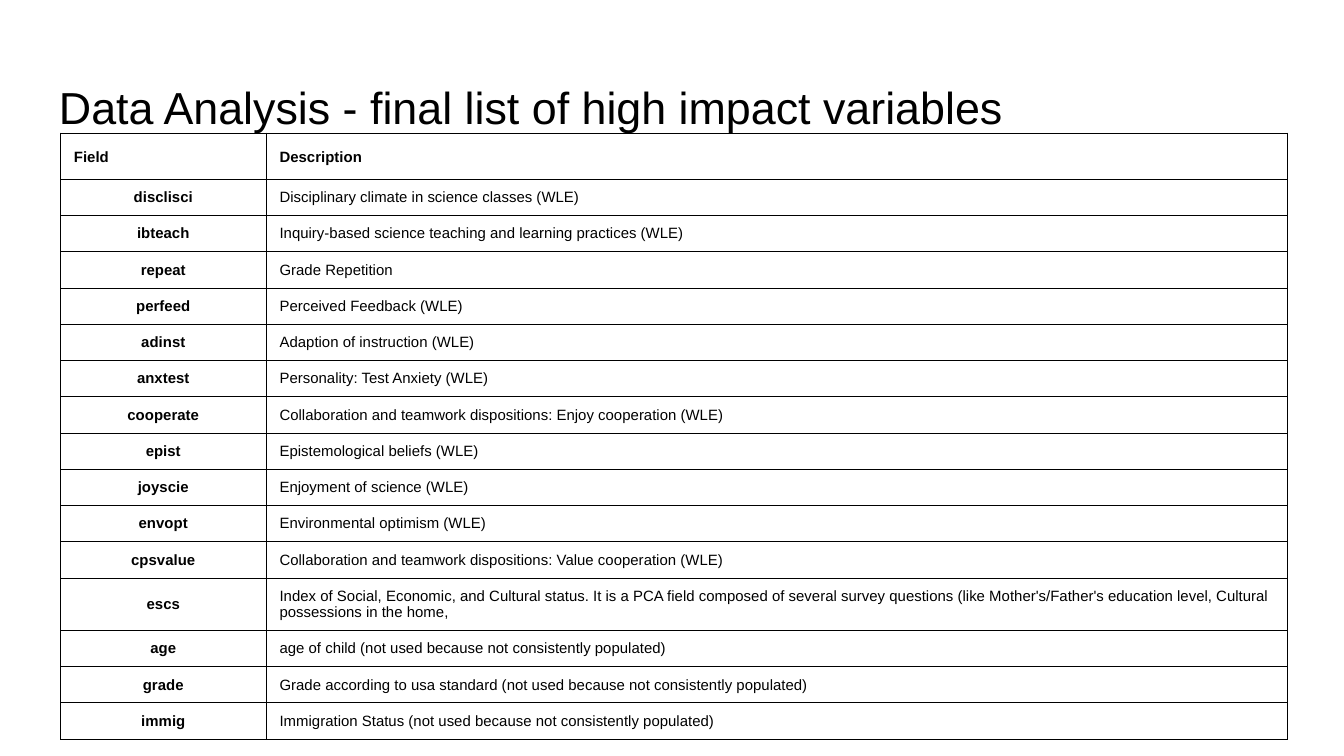
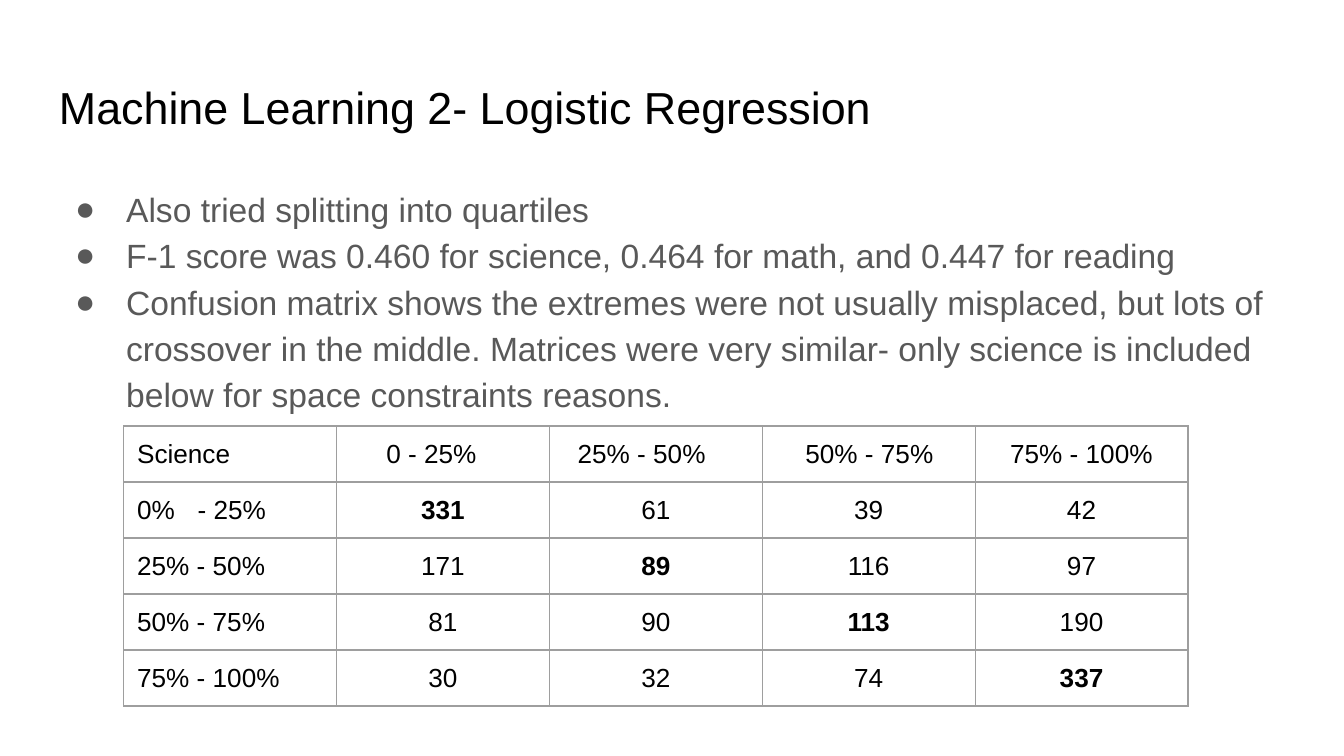
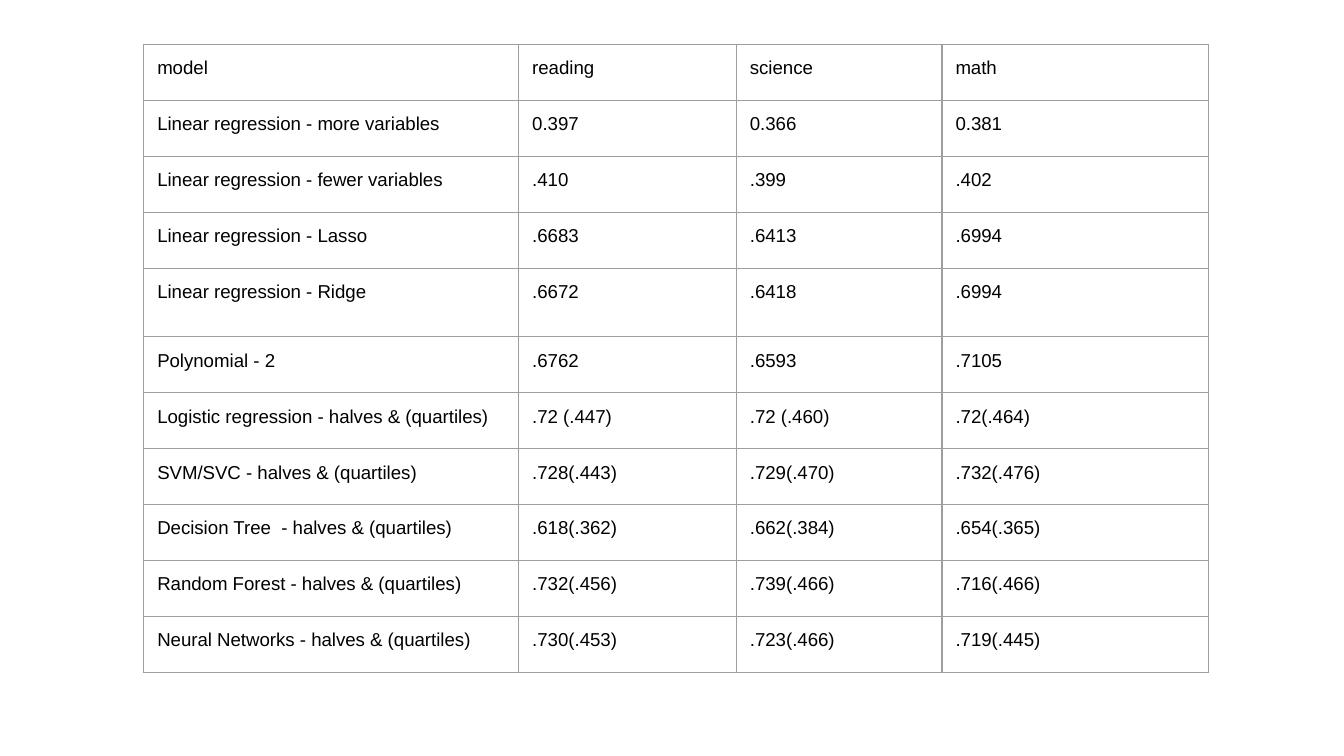
from lxml import etree
from pptx import Presentation
from pptx.dml.color import RGBColor
from pptx.enum.text import MSO_ANCHOR, PP_ALIGN
from pptx.oxml.ns import qn
from pptx.util import Inches, Pt

LEFT, CENTER = PP_ALIGN.LEFT, PP_ALIGN.CENTER
TOP, MIDDLE = MSO_ANCHOR.TOP, MSO_ANCHOR.MIDDLE

FONT = "Arial"
COLORS = {"text": "000000", "body": "595959", "grid": "9E9E9E", "paper": "FFFFFF"}
BLANK_LAYOUT = 6
SLIDE_WIDTH = 10
SLIDE_HEIGHT = SLIDE_WIDTH * 9 / 16
PADDING = 0.1
ROW_HEIGHT = 5 / 12

VARIABLES = [
    ("Field", "Description"),
    ("disclisci", "Disciplinary climate in science classes (WLE)"),
    ("ibteach", "Inquiry-based science teaching and learning practices (WLE)"),
    ("repeat", "Grade Repetition"),
    ("perfeed", "Perceived Feedback (WLE)"),
    ("adinst", "Adaption of instruction (WLE)"),
    ("anxtest", "Personality: Test Anxiety (WLE)"),
    ("cooperate", "Collaboration and teamwork dispositions: Enjoy cooperation (WLE)"),
    ("epist", "Epistemological beliefs (WLE)"),
    ("joyscie", "Enjoyment of science (WLE)"),
    ("envopt", "Environmental optimism (WLE)"),
    ("cpsvalue", "Collaboration and teamwork dispositions: Value cooperation (WLE)"),
    ("escs", "Index of Social, Economic, and Cultural status. It is a PCA field composed "
             "of several survey questions (like Mother's/Father's education level, "
             "Cultural possessions in the home,"),
    ("age", "age of child (not used because not consistently populated)"),
    ("grade", "Grade according to usa standard (not used because not consistently populated)"),
    ("immig", "Immigration Status (not used because not consistently populated)"),
]

FINDINGS = [
    "Also tried splitting into quartiles",
    "F-1 score was 0.460 for science, 0.464 for math, and 0.447 for reading",
    "Confusion matrix shows the extremes were not usually misplaced, but lots of "
    "crossover in the middle. Matrices were very similar- only science is included "
    "below for space constraints reasons.",
]

CONFUSION = [
    ("Science", "0 - 25%", "25% - 50%", "50% - 75%", "75% - 100%"),
    ("0%\t- 25%", "331", "61", "39", "42"),
    ("25% - 50%", "171", "89", "116", "97"),
    ("50% - 75%", "81", "90", "113", "190"),
    ("75% - 100%", "30", "32", "74", "337"),
]
HEADER_INDENTS = [0, 0.27, 0.11, 0.22, 0.16]
DASH_TAB = 0.45

SCORES = [
    ("model", "reading", "science", "math"),
    ("Linear regression - more variables", "0.397", "0.366", "0.381"),
    ("Linear regression - fewer variables", ".410", ".399", ".402"),
    ("Linear regression - Lasso", ".6683", ".6413", ".6994"),
    ("Linear regression - Ridge", ".6672", ".6418", ".6994"),
    ("Polynomial - 2", ".6762", ".6593", ".7105"),
    ("Logistic regression - halves & (quartiles)", ".72 (.447)", ".72 (.460)", ".72(.464)"),
    ("SVM/SVC - halves & (quartiles)", ".728(.443)", ".729(.470)", ".732(.476)"),
    ("Decision Tree  - halves & (quartiles)", ".618(.362)", ".662(.384)", ".654(.365)"),
    ("Random Forest - halves & (quartiles)", ".732(.456)", ".739(.466)", ".716(.466)"),
    ("Neural Networks - halves & (quartiles)", ".730(.453)", ".723(.466)", ".719(.445)"),
]


def set_values(target, values):
    for name, value in values.items():
        setattr(target, name, value)


def margins(top=PADDING, bottom=PADDING):
    return {"margin_left": Inches(PADDING), "margin_right": Inches(PADDING),
            "margin_top": Inches(top), "margin_bottom": Inches(bottom)}


def write(paragraph, text, size, color="text", bold=False, **paragraph_format):
    run = paragraph.add_run()
    run.text = text
    set_values(run.font, {"name": FONT, "size": Pt(size), "bold": bold})
    run.font.color.rgb = RGBColor.from_string(COLORS[color])
    set_values(paragraph, paragraph_format)


def indent(paragraph, left, first_line=0):
    properties = paragraph._p.get_or_add_pPr()
    properties.set("marL", str(Inches(left)))
    properties.set("indent", str(Inches(first_line)))
    return properties


def add_bullet(paragraph, color):
    properties = indent(paragraph, 0.5, -0.38)
    bullet_color = etree.SubElement(properties, qn("a:buClr"))
    etree.SubElement(bullet_color, qn("a:srgbClr"), val=COLORS[color])
    etree.SubElement(properties, qn("a:buFont"), typeface=FONT)
    etree.SubElement(properties, qn("a:buChar"), char="●")


def add_tab_stop(paragraph, position):
    stops = etree.SubElement(paragraph._p.get_or_add_pPr(), qn("a:tabLst"))
    etree.SubElement(stops, qn("a:tab"), pos=str(Inches(position)), algn="l")


def add_text_box(slide, left, top, width, height):
    box = slide.shapes.add_textbox(*map(Inches, (left, top, width, height)))
    frame = box.text_frame
    set_values(frame, {"word_wrap": True, "vertical_anchor": TOP, **margins()})
    return frame


def add_title(slide, text):
    frame = add_text_box(slide, 0.34, 0.49, 9.32, 0.63)
    write(frame.paragraphs[0], text, 24)


def add_bullets(slide, items):
    frame = add_text_box(slide, 0.34, 1.26, 9.32, 3.74)
    for index, item in enumerate(items):
        paragraph = frame.add_paragraph() if index else frame.paragraphs[0]
        write(paragraph, item, 18, "body", line_spacing=1.15)
        add_bullet(paragraph, "body")


def set_borders(cell, color, width):
    properties = cell._tc.get_or_add_tcPr()
    for index, side in enumerate(("a:lnL", "a:lnR", "a:lnT", "a:lnB")):
        line = etree.Element(qn(side), w=str(Pt(width)))
        fill = etree.SubElement(line, qn("a:solidFill"))
        etree.SubElement(fill, qn("a:srgbClr"), val=COLORS[color])
        properties.insert(index, line)


def add_grid(slide, left, top, widths, heights, rows, size, cell_style,
             border=("grid", 0.75)):
    """cell_style(row, column) gives the cell's attributes and its text format."""
    frame = slide.shapes.add_table(len(rows), len(widths), Inches(left), Inches(top),
                                   Inches(sum(widths)), Inches(sum(heights)))
    table = frame.table
    set_values(table, {"first_row": False, "horz_banding": False})
    for column, width in zip(table.columns, widths):
        column.width = Inches(width)
    for row, height in zip(table.rows, heights):
        row.height = Inches(height)
    for row, texts in enumerate(rows):
        for column, text in enumerate(texts):
            cell = table.cell(row, column)
            cell_values, text_format = cell_style(row, column)
            set_values(cell, cell_values)
            cell.fill.solid()
            cell.fill.fore_color.rgb = RGBColor.from_string(COLORS["paper"])
            set_borders(cell, *border)
            write(cell.text_frame.paragraphs[0], text, size, **text_format)
    return table


def variable_style(row, column):
    if row == 0:
        return ({"vertical_anchor": MIDDLE, **margins()},
                {"bold": True, "line_spacing": 1.15})
    is_field = column == 0
    return ({"vertical_anchor": MIDDLE, **margins(0, 0)},
            {"bold": is_field, "alignment": CENTER if is_field else LEFT})


def confusion_style(row, column):
    is_count = row > 0 and column > 0
    return margins(bottom=0.08), {"bold": is_count and row == column,
                                  "alignment": CENTER if is_count else LEFT}


def score_style(row, column):
    return margins(), {}


def build_variables(slide):
    heights = [0.34] + [0.27] * 11 + [0.39] + [0.27] * 3
    add_grid(slide, 0.45, 0.99, [1.53, 7.6], heights, VARIABLES, 8, variable_style,
             ("text", 0.5))
    add_title(slide, "Data Analysis - final list of high impact variables")


def build_confusion(slide):
    add_title(slide, "Machine Learning 2- Logistic Regression")
    add_bullets(slide, FINDINGS)
    table = add_grid(slide, 0.92, 3.17, [7.92 / 5] * 5, [ROW_HEIGHT] * 5, CONFUSION, 14,
                     confusion_style)
    for column, left in enumerate(HEADER_INDENTS):
        indent(table.cell(0, column).text_frame.paragraphs[0], left)
    add_tab_stop(table.cell(1, 0).text_frame.paragraphs[0], DASH_TAB)


def build_scores(slide):
    heights = [ROW_HEIGHT] * 4 + [0.51] + [ROW_HEIGHT] * 6
    add_grid(slide, 1.07, 0.33, [2.79, 1.62, 1.53, 1.98], heights, SCORES, 10, score_style)


def main():
    presentation = Presentation()
    set_values(presentation, {"slide_width": Inches(SLIDE_WIDTH),
                              "slide_height": Inches(SLIDE_HEIGHT)})
    for build in (build_variables, build_confusion, build_scores):
        build(presentation.slides.add_slide(presentation.slide_layouts[BLANK_LAYOUT]))
    presentation.save("out.pptx")


if __name__ == "__main__":
    main()
